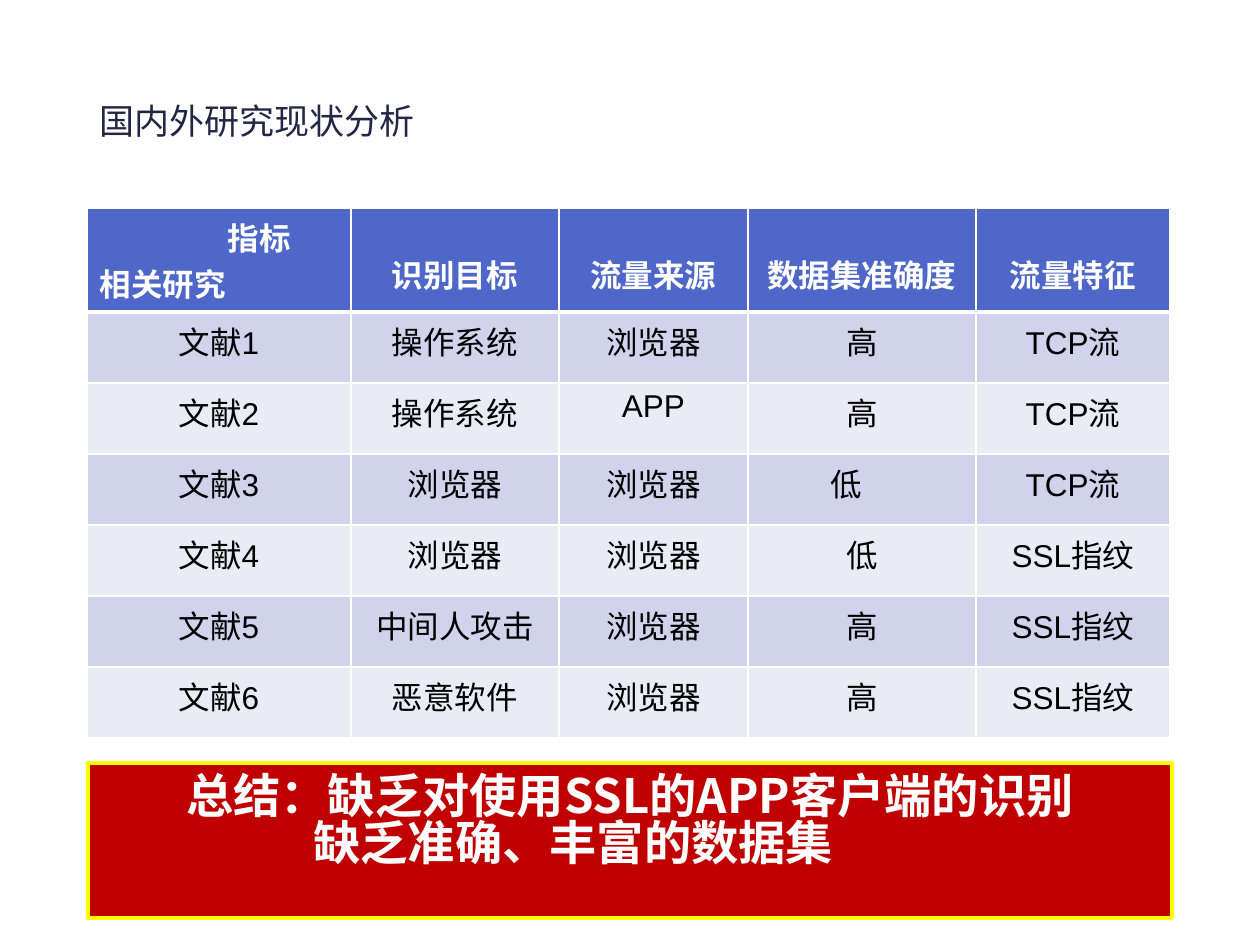
from lxml import etree
from pptx import Presentation
from pptx.dml.color import RGBColor
from pptx.enum.shapes import MSO_SHAPE as Shape
from pptx.enum.text import MSO_ANCHOR as Anchor, PP_ALIGN as Align
from pptx.oxml.ns import qn
from pptx.util import Emu, Pt

SCALE = 914400 / 126  # EMU per px
WHITE = RGBColor(0xFF, 0xFF, 0xFF)
BLACK = RGBColor(0x00, 0x00, 0x00)
NAVY = RGBColor(0x21, 0x27, 0x45)
BLUE = RGBColor(0x4E, 0x67, 0xC8)
BAND_DARK = RGBColor(0xD0, 0xD3, 0xEB)
BAND_LIGHT = RGBColor(0xE9, 0xEB, 0xF5)
RED = RGBColor(0xC0, 0x00, 0x00)
YELLOW = RGBColor(0xFF, 0xFF, 0x00)
CJK = "Noto Sans CJK SC"


def px(length):
    return Emu(round(length * SCALE))


def write(paragraph, text, size, color, latin=CJK, bold=False, indent=None):
    """Add one run; a paragraph with an indent is left-aligned, others centred."""
    paragraph.alignment = Align.CENTER if indent is None else Align.LEFT
    if indent:
        paragraph._p.get_or_add_pPr().set("marL", str(px(indent)))
    run = paragraph.add_run()
    run.text = text
    run.font.size = Pt(size)
    run.font.bold = bold
    run.font.color.rgb = color
    run.font.name = latin
    etree.SubElement(run._r.get_or_add_rPr(), qn("a:ea"), typeface=CJK)


presentation = Presentation()
presentation.slide_width, presentation.slide_height = px(1260), px(945)
slide = presentation.slides.add_slide(presentation.slide_layouts[6])

# Title
title = slide.shapes.add_textbox(px(87), px(76), px(1060), px(89))
title.text_frame.word_wrap = True
title.text_frame.vertical_anchor = Anchor.MIDDLE
write(title.text_frame.paragraphs[0], "国内外研究现状分析", 20, NAVY, indent=0)

# Comparison table
ROWS = [
    ["指标", "识别目标", "流量来源", "数据集准确度", "流量特征"],
    ["文献1", "操作系统", "浏览器", "高", "TCP流"],
    ["文献2", "操作系统", "APP", "高", "TCP流"],
    ["文献3", "浏览器", "浏览器", "低", "TCP流"],
    ["文献4", "浏览器", "浏览器", "低", "SSL指纹"],
    ["文献5", "中间人攻击", "浏览器", "高", "SSL指纹"],
    ["文献6", "恶意软件", "浏览器", "高", "SSL指纹"],
]
COLUMN_WIDTHS = [264, 208, 189, 228, 194]
HEADER_HEIGHT, ROW_HEIGHT = 104, 71
INDENTS = {(0, 0): 128, (3, 3): 70}  # cells that are not centred

table = slide.shapes.add_table(
    len(ROWS), len(COLUMN_WIDTHS), px(87), px(208),
    px(sum(COLUMN_WIDTHS)), px(HEADER_HEIGHT + ROW_HEIGHT * (len(ROWS) - 1))).table
for column, width in zip(table.columns, COLUMN_WIDTHS):
    column.width = px(width)

for r, texts in enumerate(ROWS):
    header = r == 0
    table.rows[r].height = px(HEADER_HEIGHT if header else ROW_HEIGHT)
    for c, text in enumerate(texts):
        cell = table.cell(r, c)
        # Borders: thin white, thick below the header
        border_widths = {"L": 1, "R": 1, "T": 3 if r == 1 else 1, "B": 3 if header else 1}
        for side, width in border_widths.items():
            line = etree.SubElement(cell._tc.get_or_add_tcPr(), qn(f"a:ln{side}"), w=str(Pt(width)))
            fill = etree.SubElement(line, qn("a:solidFill"))
            etree.SubElement(fill, qn("a:srgbClr"), val=str(WHITE))
        cell.fill.solid()
        cell.fill.fore_color.rgb = BLUE if header else BAND_DARK if r % 2 else BAND_LIGHT
        if header and c > 0:
            cell.margin_top = px(43)
        write(cell.text_frame.paragraphs[0], text, 18, WHITE if header else BLACK,
              "Arial", header, INDENTS.get((r, c)))

# Second line of the corner cell
write(table.cell(0, 0).text_frame.add_paragraph(), "相关研究", 18, WHITE, "Arial", True, 0)

# Summary box
summary = slide.shapes.add_shape(Shape.RECTANGLE, px(88), px(763), px(1084), px(155))
summary.shadow.inherit = False
summary.fill.solid()
summary.fill.fore_color.rgb = RED
summary.line.color.rgb = YELLOW
summary.line.width = Pt(2.25)
frame = summary.text_frame
frame.word_wrap = True
frame.vertical_anchor = Anchor.TOP
frame.margin_top = px(13)
write(frame.paragraphs[0], "总结：缺乏对使用SSL的APP客户端的识别", 27, WHITE, bold=True)
write(frame.add_paragraph(), "缺乏准确、丰富的数据集", 27, WHITE, bold=True, indent=213)
for paragraph in frame.paragraphs:
    paragraph.line_spacing = 0.83

presentation.save("out.pptx")
